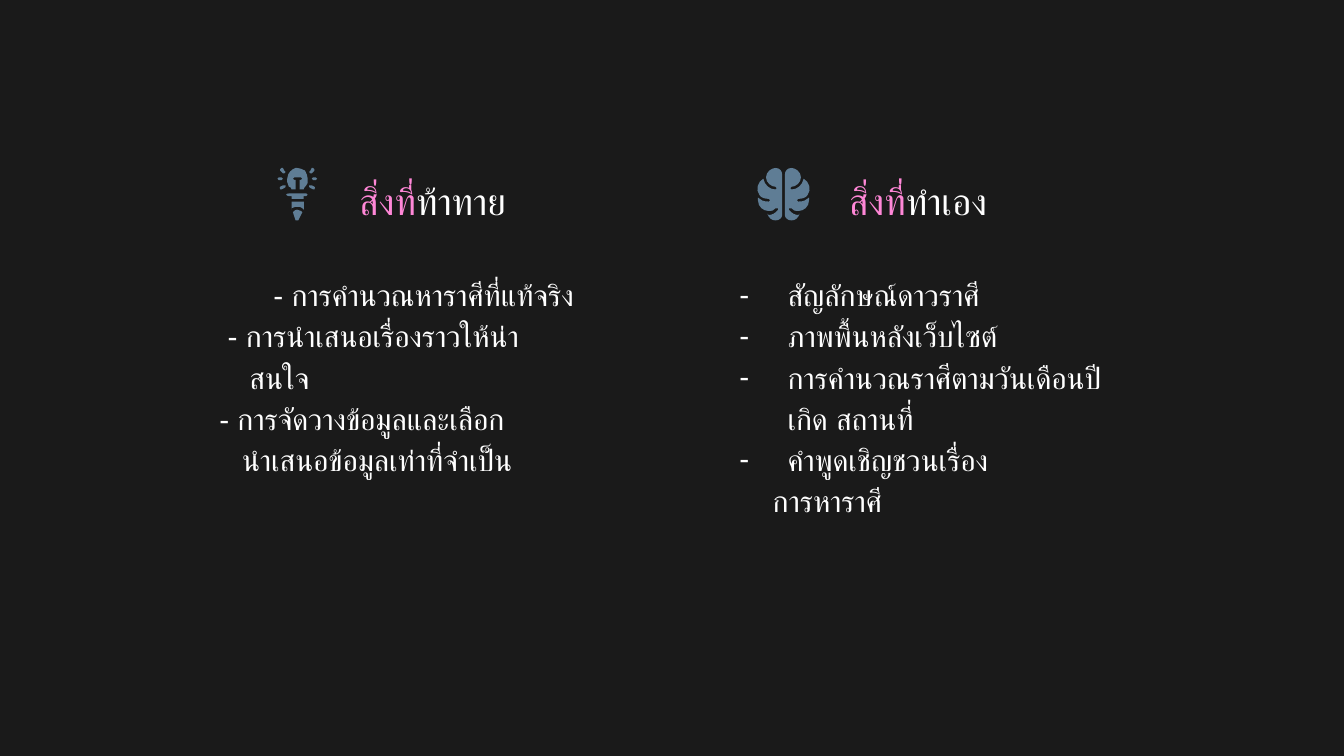
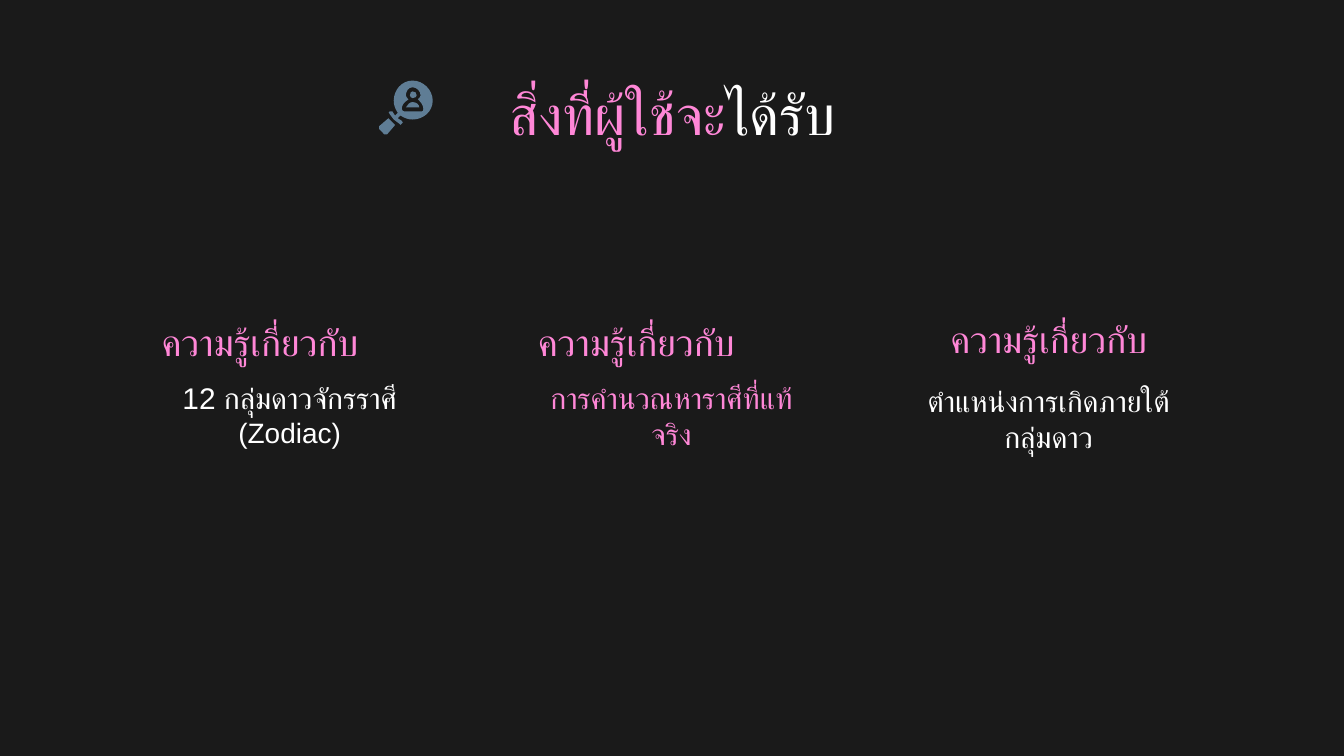
import pptx
import pptx.dml.color
import pptx.enum.lang
import pptx.enum.text
import pptx.oxml.ns
import pptx.util
from lxml import etree

Cm = pptx.util.Cm
Pt = pptx.util.Pt
TOP = pptx.enum.text.MSO_ANCHOR.TOP
MIDDLE = pptx.enum.text.MSO_ANCHOR.MIDDLE
LEFT = pptx.enum.text.PP_ALIGN.LEFT
CENTER = pptx.enum.text.PP_ALIGN.CENTER
qn = pptx.oxml.ns.qn

BLACK = pptx.dml.color.RGBColor(0x1A, 0x1A, 0x1A)
WHITE = pptx.dml.color.RGBColor(0xFF, 0xFF, 0xFF)
PINK = pptx.dml.color.RGBColor(0xFF, 0x87, 0xD7)
STEEL = pptx.dml.color.RGBColor(0x5F, 0x7D, 0x95)
FONT = "Arial"
INSET = Pt(7.2)
ICON_UNIT = Cm(2.54) / 100


def write(box, place, lines, size, colour, white_end="", align=CENTER,
          anchor=TOP, spacing=1.0, after=0, indents=None, dashes=()):
    """Place a box and set its lines; white_end continues the first line in white.

    indents holds a left margin in cm for each line, dashes the numbers of bulleted lines.
    """
    box.left, box.top, box.width, box.height = [Cm(length) for length in place]
    frame = box.text_frame
    frame.text = "\n".join(lines)
    frame.word_wrap = True
    frame.auto_size = pptx.enum.text.MSO_AUTO_SIZE.NONE
    frame.vertical_anchor = anchor
    frame.margin_left = frame.margin_right = INSET
    frame.margin_top = frame.margin_bottom = INSET
    if white_end:
        frame.paragraphs[0].add_run().text = white_end
    for number, paragraph in enumerate(frame.paragraphs):
        properties = paragraph._p.get_or_add_pPr()
        properties.set("marL", str(Cm(indents[number] if indents else 0)))
        properties.set("indent", str(Cm(-0.91 if number in dashes else 0)))
        if number in dashes:
            etree.SubElement(properties, qn("a:buChar")).set("char", "-")
        else:
            etree.SubElement(properties, qn("a:buNone"))
        paragraph.alignment = align
        paragraph.line_spacing = spacing
        paragraph.space_before = Pt(0)
        paragraph.space_after = Pt(after)
        for run in paragraph.runs:
            run.font.size = Pt(size)
            run.font.bold = False
            run.font.name = FONT
            run.font.color.rgb = colour
            run.font.language_id = pptx.enum.lang.MSO_LANGUAGE_ID.THAI
            etree.SubElement(run._r.get_or_add_rPr(), qn("a:cs")).set("typeface", FONT)
    if white_end:
        frame.paragraphs[0].runs[1].font.color.rgb = WHITE


def draw_outline(icon, outline, mirror=None):
    """Draw contours split by | into segments split by ;

    Two numbers make a line, six a Bézier curve. mirror is the sum of the x
    values of a point and its reflection.
    """
    builder = None
    segment_sizes = []
    for contour in outline.split("|"):
        points = []
        for segment in contour.split(";"):
            values = [float(value) for value in segment.split()]
            if points:
                segment_sizes.append(len(values) // 2)
            for x, y in zip(values[::2], values[1::2]):
                points.append(((mirror - x if mirror else x) * ICON_UNIT, y * ICON_UNIT))
        if builder is None:
            builder = icon.shapes.build_freeform(*points[0])
        else:
            builder.move_to(*points[0])
        builder.add_line_segments(points[1:], close=False)
        builder.add_line_segments([], close=True)
    part = builder.convert_to_shape()

    # Join the three points of each curve into one Bézier segment
    steps = iter(list(part._element.iter(qn("a:lnTo"))))
    for size in segment_sizes:
        first, *others = [next(steps) for _ in range(size)]
        if others:
            curve = etree.Element(qn("a:cubicBezTo"))
            first.addprevious(curve)
            for step in (first, *others):
                curve.append(step[0])
                step.getparent().remove(step)

    part.shadow.inherit = False
    part.fill.solid()
    part.fill.fore_color.rgb = STEEL
    part.line.fill.background()


BRAIN_HALF = (
    "589 125; 586 125 584 127 584 130; 584 160; 584 162 586 164 589 164;"
    "592 164 594 162 595 159; 595 159 594 160 594 160; 592 160 589 159 587 156;"
    "587 156 587 155 587 155; 587 155 588 155 588 155; 588 155 589 155 589 155;"
    "590 157 592 157 594 157; 598 157 602 154 602 149; 602 149 602 148 602 147;"
    "600 149 598 150 594 150; 594 150 593 150 593 149; 593 149 594 148 594 148;"
    "597 148 600 147 601 145; 604 141 602 135 598 133; 597 138 593 141 589 141;"
    "588 141 588 141 588 140; 588 139 588 139 589 139; 592 139 596 136 596 132;"
    "596 128 592 125 589 125")
BULB_RAYS = [
    "233 132; 232 132 232 133 232 133; 232 134 232 134 233 134; 235 134;"
    "236 134 236 134 236 133; 236 133 236 132 235 132",
    "233 125; 233 125 233 125 232 125; 231 127; 230 127 230 128 230 128;"
    "230 129 231 129 231 129; 231 129 232 129 232 129; 234 127;"
    "234 127 234 126 234 126; 234 126 233 125 233 125",
    "231 138; 231 138 230 138 230 138; 230 139 230 140 231 140; 233 141;"
    "233 141 233 141 233 141; 234 141 234 141 234 141; 235 140 234 139 234 139;"
    "232 138; 232 138 232 138 231 138",
]
BULB_AND_PENCIL = [
    "215 144; 214 144 213 144 213 145; 213 145 214 146 215 146; 217 146; 217 148;"
    "226 148; 226 146; 228 146; 229 146 229 145 229 145; 229 144 229 144 228 144",
    "221 125; 221 125 220 125 220 125; 217 126 214 129 214 132; 213 135 214 136 215 139;"
    "216 139 217 140 217 141; 220 141; 220 134; 219 134; 219 134 218 134 218 133;"
    "218 133 219 132 219 132; 224 132; 224 132 225 133 225 133; 225 134 224 134 224 134;"
    "223 134; 223 141; 226 141; 226 140 227 139 228 138; 229 137 229 136 229 133;"
    "229 131 228 129 227 127; 225 126 223 125 221 125",
    "217 150; 217 156; 217 155; 219 154 220 154 221 154; 223 154 224 154 225 155;"
    "226 156; 226 150",
    "221 156; 220 156 219 157 219 157; 218 158; 220 164; 221 164 221 164 221 164;"
    "222 164 222 164 222 164; 225 158; 224 157; 223 157 222 156 221 156",
]
USER_SEARCH = [
    "307 68; 306 68 305 69 305 71; 305 72 306 73 307 73; 309 73 310 72 310 71;"
    "310 69 309 68 307 68",
    "307 76; 305 76 303 78 302 80; 312 80; 312 78 310 76 307 76",
    "307 65; 310 65 313 68 313 71; 313 72 312 73 311 74; 313 76 315 78 315 81;"
    "315 82 315 83 314 83; 301 83; 300 83 299 82 299 81; 299 78 301 76 304 74;"
    "303 73 302 72 302 71; 302 68 304 65 307 65 |"
    "307 60; 299 60 293 67 293 75; 293 78 294 81 296 84; 294 86; 292 83;"
    "291 83 291 83 291 83; 290 83 290 83 290 83; 289 83 289 84 290 85; 293 89; 297 92;"
    "297 93 298 93 298 93; 299 93 299 93 299 92; 300 92 300 91 299 90; 296 88; 298 86;"
    "301 88 304 89 307 89; 315 89 322 83 322 75; 322 67 315 60 307 60",
    "289 88; 282 94; 282 95 282 96 282 96; 286 100; 286 100 286 100 287 100;"
    "287 100 287 100 288 100; 294 93; 289 88",
]

deck = pptx.Presentation()
deck.slide_width, deck.slide_height = Cm(25.4), Cm(14.29)
deck.slide_master.background.fill.solid()
deck.slide_master.background.fill.fore_color.rgb = BLACK
comparison = deck.slide_layouts.get_by_name("Comparison")

# Challenges and own work
work = deck.slides.add_slide(comparison)
title = work.shapes.title
title._element.getparent().remove(title._element)
challenge_head, challenges, own_head, own_work = work.placeholders
write(challenge_head, (4.62, 2.46, 7.11, 2.67), ["สิ่งที่"], 20, PINK, "ท้าทาย", anchor=MIDDLE)
write(own_head, (13.36, 2.46, 7.98, 2.67), ["สิ่งที่"], 20, PINK, "ทำเอง", anchor=MIDDLE)
write(challenges, (3.89, 4.88, 8.23, 6.93),
      ["- การคำนวณหาราศีที่แท้จริง", "- การนำเสนอเรื่องราวให้น่า", "สนใจ",
       "- การจัดวางข้อมูลและเลือก", "นำเสนอข้อมูลเท่าที่จำเป็น"],
      16, WHITE, align=LEFT, spacing=1.15, indents=[0, 0.16, 0.57, 0, 0.43])
challenges.text_frame.paragraphs[0].alignment = CENTER
write(own_work, (13.36, 4.88, 7.98, 4.57),
      ["สัญลักษณ์ดาวราศี", "ภาพพื้นหลังเว็บไซต์", "การคำนวณราศีตามวันเดือนปีเกิด สถานที่",
       "คำพูดเชิญชวนเรื่อง", "การหาราศี"],
      16, WHITE, align=LEFT, spacing=1.15, indents=[1.27] * 4 + [0.99], dashes=range(4))

brain = work.shapes.add_group_shape()
for mirror in (None, 1166):
    draw_outline(brain, BRAIN_HALF, mirror)
bulb = work.shapes.add_group_shape()
for ray in BULB_RAYS:
    for mirror in (None, 442.5):
        draw_outline(bulb, ray, mirror)
for outline in BULB_AND_PENCIL:
    draw_outline(bulb, outline)

# What users gain
gains = deck.slides.add_slide(comparison)
title, zodiac_head, zodiac, sign_head, sign = gains.placeholders
birth_head, birth = [gains.shapes.add_textbox(0, 0, 0, 0) for _ in range(2)]
write(title, (2.01, 1.24, 21.41, 1.6), ["สิ่งที่ผู้ใช้จะ"], 30, PINK, "ได้รับ")
for head, left, align, anchor, after in (
        (zodiac_head, 2.8, LEFT, TOP, 16),
        (sign_head, 9.91, LEFT, TOP, 16),
        (birth_head, 17.04, CENTER, MIDDLE, 0)):
    write(head, (left, 5.77, 5.56, 1.27), ["ความรู้เกี่ยวกับ"], 20, PINK,
          align=align, anchor=anchor, after=after)
write(zodiac, (2.59, 6.93, 5.77, 3.3), ["12 กลุ่มดาวจักรราศี", "(Zodiac)"], 16, WHITE)
zodiac.text_frame.paragraphs[1].runs[0].font.size = Pt(15)
write(sign, (9.91, 6.93, 5.56, 3.3), ["การคำนวณหาราศีที่แท้จริง"], 16, PINK, after=16)
write(birth, (17.04, 6.53, 5.56, 2.77), ["ตำแหน่งการเกิดภายใต้กลุ่มดาว"], 16, WHITE, anchor=MIDDLE)

user_search = gains.shapes.add_group_shape()
for outline in USER_SEARCH:
    draw_outline(user_search, outline)

deck.save("out.pptx")
